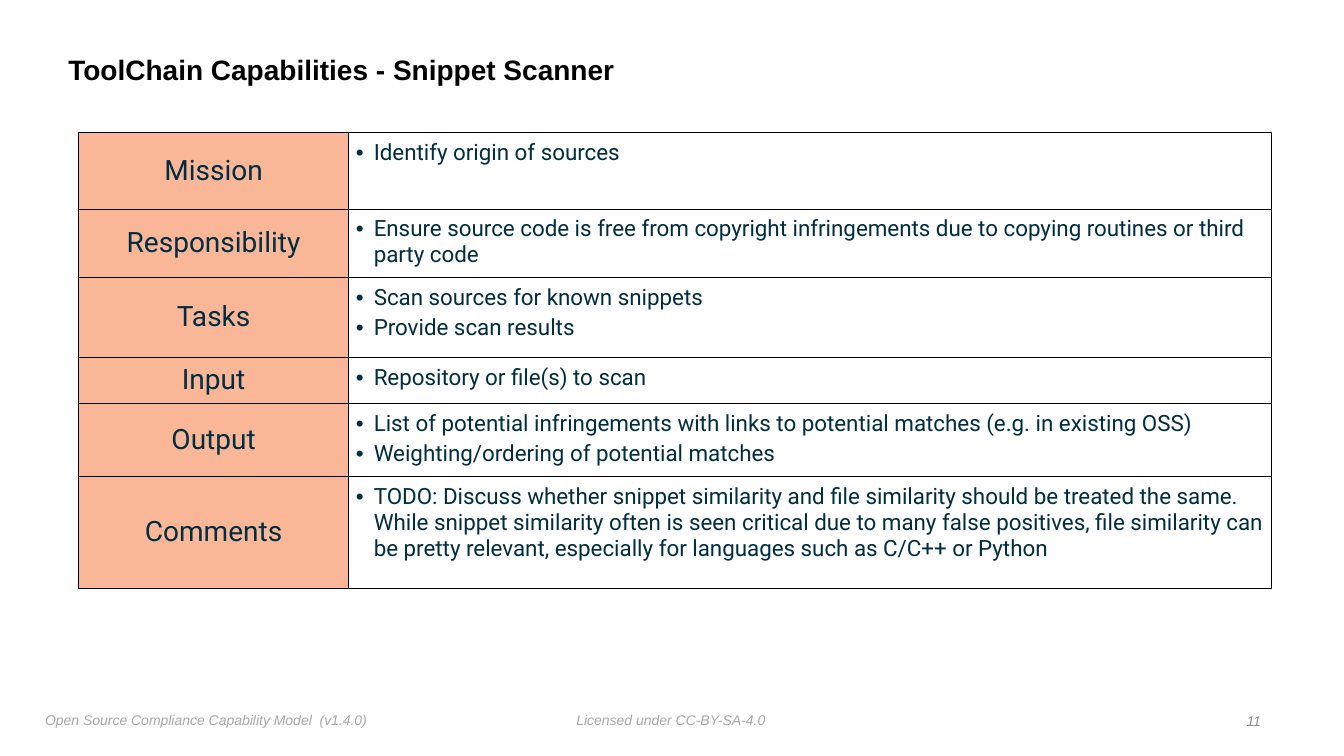
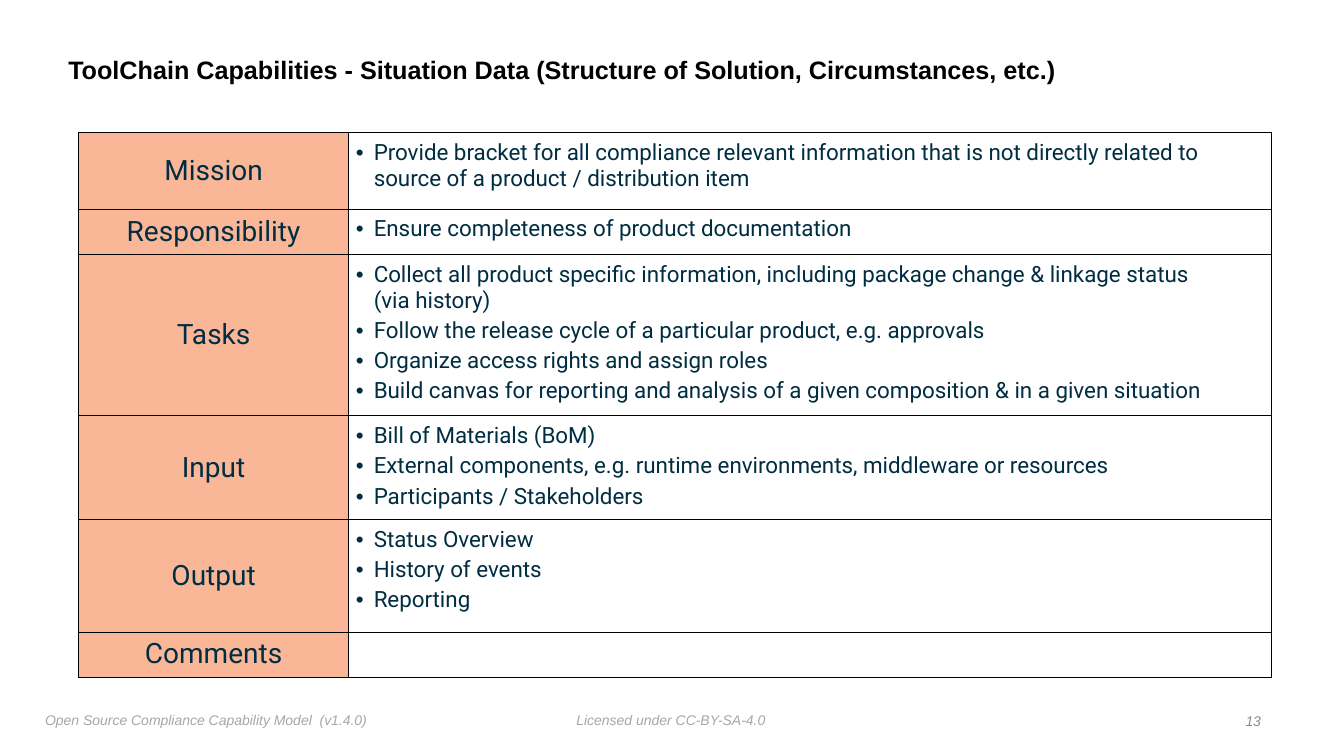
from dataclasses import dataclass

from lxml import etree
from pptx import Presentation
from pptx import util as u
from pptx.dml.color import RGBColor
from pptx.enum import text
from pptx.oxml.ns import qn

PX = 9525  # EMU in one px, 96 px to the inch


@dataclass(frozen=True)
class Theme:
    title_font: str = "Arial"
    body_font: str = "Roboto"
    black: str = "000000"
    ink: str = "002D41"
    peach: str = "FAB798"
    footer: str = "A7A7A7"
    number: str = "888C91"
    title_size: int = 20
    label_size: int = 20
    body_size: int = 16
    small_size: int = 10
    rule: int = 6350  # EMU, half a point


def write(p, content, *, size, font, color, bold=False, italic=False, align=None):
    """Fill a paragraph; a newline in the content becomes a line break."""
    p.text = content
    p.alignment = align
    for r in p.runs:
        r.font.size = u.Pt(size)
        r.font.name = font
        r.font.bold = bold
        r.font.italic = italic
        r.font.color.rgb = RGBColor.from_string(color)
    for br in p._p.findall(qn("a:br")):
        etree.SubElement(br, qn("a:rPr"), sz=str(size * 100))


def add_bullet(p, indent):
    pPr = p._p.get_or_add_pPr()
    pPr.set("marL", str(indent * PX))
    pPr.set("indent", str(-indent * PX))
    etree.SubElement(pPr, qn("a:buFont"), typeface="Arial")
    etree.SubElement(pPr, qn("a:buChar"), char="•")


def set_margins(box, margin):
    box.margin_left = box.margin_right = margin * PX
    box.margin_top = box.margin_bottom = margin * PX


class Deck:
    def __init__(self, theme):
        self.theme = theme
        self.prs = Presentation()
        self.prs.slide_width, self.prs.slide_height = 1280 * PX, 720 * PX
        self.s = None

    def new_slide(self, title, number, title_size=None):
        t = self.theme
        self.s = self.prs.slides.add_slide(self.prs.slide_layouts[6])
        small = dict(size=t.small_size, font=t.title_font, italic=True)
        self.text(544, 673, 191, 24, "Licensed under CC-BY-SA-4.0",
                  color=t.footer, **small)
        self.text(38, 673, 319, 24,
                  "Open Source Compliance Capability Model  (v1.4.0)",
                  color=t.footer, **small)
        p = self.text(60, 37, 1032, 62, title, wrap=True, middle=True,
                      size=title_size or t.title_size, font=t.title_font,
                      color=t.black, bold=True)
        p.line_spacing = 0.9
        self.text(1181, 675, 25, 24, str(number), middle=True, color=t.number,
                  align=text.PP_ALIGN.RIGHT, **small)

    def text(self, x, y, w, h, content, wrap=False, middle=False, **fmt):
        sp = self.s.shapes.add_textbox(x * PX, y * PX, w * PX, h * PX)
        tf = sp.text_frame
        tf.word_wrap = wrap
        if not wrap:
            tf.auto_size = text.MSO_AUTO_SIZE.SHAPE_TO_FIT_TEXT
        set_margins(tf, 5)
        anchor = text.MSO_ANCHOR
        tf.vertical_anchor = anchor.MIDDLE if middle else anchor.TOP
        p = tf.paragraphs[0]
        write(p, content, **fmt)
        return p

    def table(self, rows):
        """Draw rows of (label, height, bullets)."""
        widths = (257, 879)
        total = sum(height for _, height, _ in rows)
        tbl = self.s.shapes.add_table(len(rows), 2, 75 * PX, 126 * PX,
                                      sum(widths) * PX, total * PX).table
        tbl.first_row = tbl.horz_banding = False
        for column, width in zip(tbl.columns, widths):
            column.width = width * PX
        for i, (label, height, bullets) in enumerate(rows):
            tbl.rows[i].height = height * PX
            self.label_cell(tbl.cell(i, 0), label)
            self.bullet_cell(tbl.cell(i, 1), bullets)

    def label_cell(self, cell, label):
        t = self.theme
        cell.fill.solid()
        cell.fill.fore_color.rgb = RGBColor.from_string(t.peach)
        cell.vertical_anchor = text.MSO_ANCHOR.MIDDLE
        set_margins(cell, 0)
        write(cell.text_frame.paragraphs[0], label, size=t.label_size,
              font=t.body_font, color=t.ink, align=text.PP_ALIGN.CENTER)
        self.borders(cell)

    def bullet_cell(self, cell, bullets):
        t = self.theme
        cell.fill.background()
        set_margins(cell, 7)
        tf = cell.text_frame
        for i, item in enumerate(bullets):
            p = tf.add_paragraph() if i else tf.paragraphs[0]
            if i:
                p.space_before = u.Pt(3)
            add_bullet(p, 17)
            write(p, item, size=t.body_size, font=t.body_font, color=t.ink)
        self.borders(cell)

    def borders(self, cell):
        tcPr = cell._tc.get_or_add_tcPr()
        for i, side in enumerate(("lnL", "lnR", "lnT", "lnB")):
            ln = etree.Element(qn("a:" + side), w=str(self.theme.rule))
            fill = etree.SubElement(ln, qn("a:solidFill"))
            etree.SubElement(fill, qn("a:srgbClr"), val=self.theme.black)
            tcPr.insert(i, ln)


def main():
    deck = Deck(Theme())

    deck.new_slide("ToolChain Capabilities - Snippet Scanner", 11)
    deck.table([
        ("Mission", 73, ["Identify origin of sources"]),
        ("Responsibility", 63, [
            "Ensure source code is free from copyright infringements due to "
            "copying routines or third party code"]),
        ("Tasks", 76, ["Scan sources for known snippets",
                       "Provide scan results"]),
        ("Input", 44, ["Repository or file(s) to scan"]),
        ("Output", 67, [
            "List of potential infringements with links to potential matches "
            "(e.g. in existing OSS)",
            "Weighting/ordering of potential matches"]),
        ("Comments", 107, [
            "TODO: Discuss whether snippet similarity and file similarity "
            "should be treated the same. While snippet similarity often is "
            "seen critical due to many false positives, file similarity can "
            "be pretty relevant, especially for languages such as C/C++ or "
            "Python"]),
    ])

    deck.new_slide("ToolChain Capabilities - Situation Data "
                   "(Structure of Solution, Circumstances, etc.)", 13,
                   title_size=18)
    deck.table([
        ("Mission", 73, [
            "Provide bracket for all compliance relevant information that is "
            "not directly related to source of a product / distribution item"]),
        ("Responsibility", 43, ["Ensure completeness of product documentation"]),
        ("Tasks", 150, [
            "Collect all product specific information, including package "
            "change & linkage status \n(via history)",
            "Follow the release cycle of a particular product, e.g. approvals",
            "Organize access rights and assign roles",
            "Build canvas for reporting and analysis of a given composition "
            "& in a given situation"]),
        ("Input", 95, [
            "Bill of Materials (BoM)",
            "External components, e.g. runtime environments, middleware or "
            "resources",
            "Participants / Stakeholders"]),
        ("Output", 107, ["Status Overview", "History of events", "Reporting"]),
        ("Comments", 43, []),
    ])

    deck.prs.save("out.pptx")


if __name__ == "__main__":
    main()
